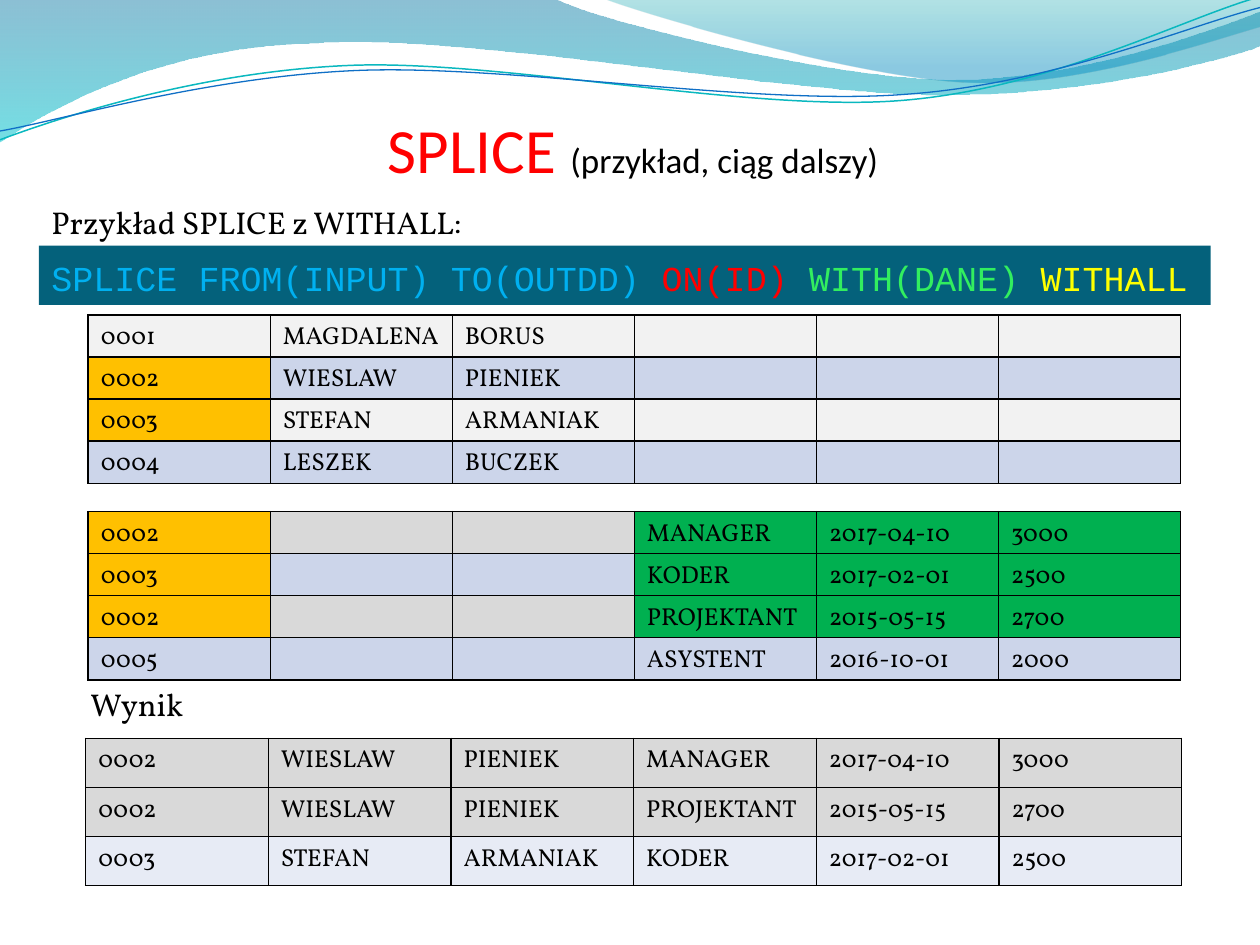
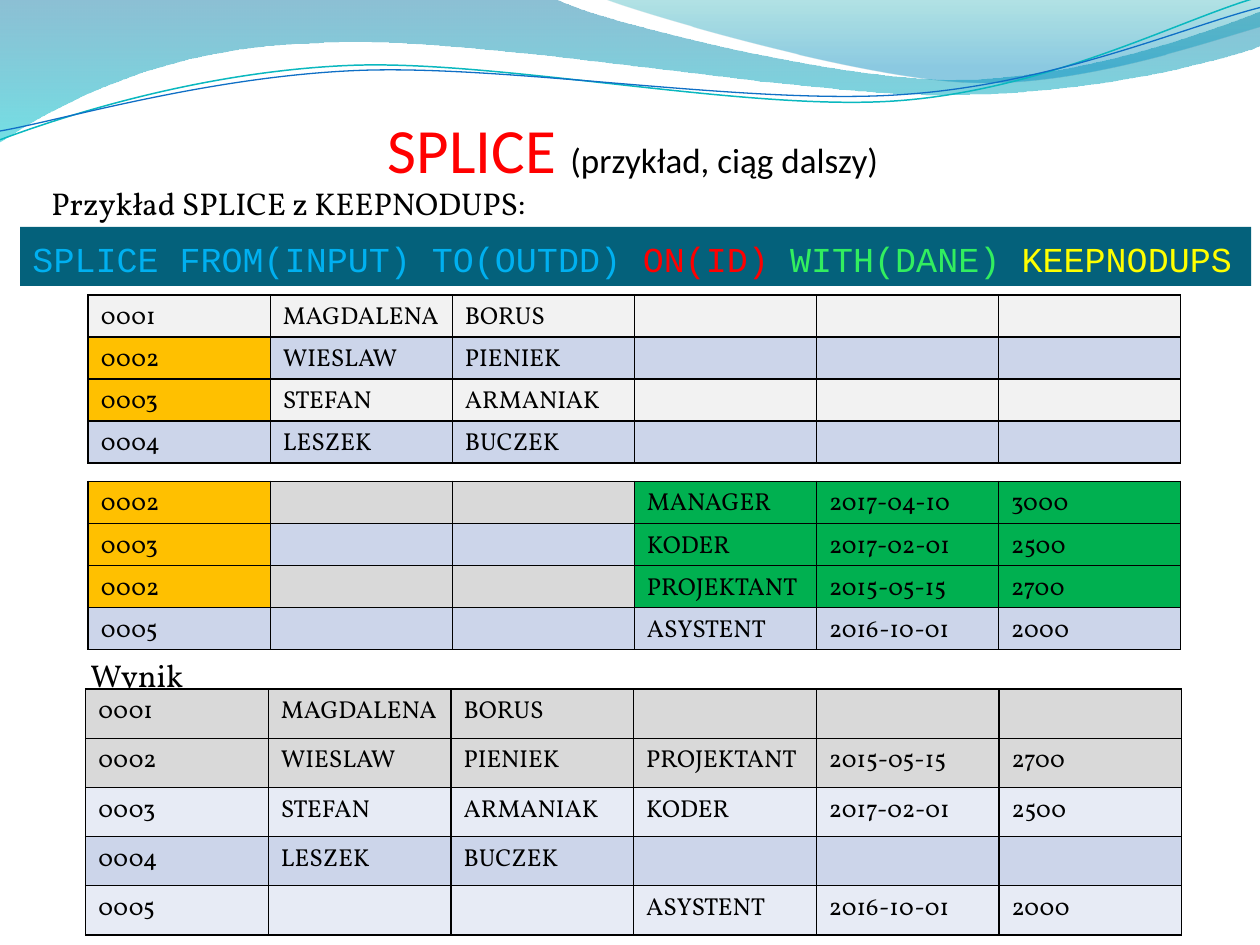
import lxml.etree
import pptx
import pptx.dml.color
import pptx.enum.shapes
import pptx.enum.text
import pptx.oxml.ns
import pptx.util

Inches = pptx.util.Inches
Pt = pptx.util.Pt
qn = pptx.oxml.ns.qn
ALIGN = pptx.enum.text.PP_ALIGN
ANCHOR = pptx.enum.text.MSO_ANCHOR
AUTO = pptx.enum.text.MSO_AUTO_SIZE

BLACK, RED, ORANGE, GREEN = "000000", "FF0000", "FFC000", "00B050"
LIGHT, BLUE, GREY, PALE = "F2F2F2", "CCD5EA", "D9D9D9", "E7EBF5"
BAND, CYAN, LIME, YELLOW = "04617B", "00B0F0", "32EE5F", "FFFF00"
SERIF, SANS, MONO = "Vollkorn", "Calibri", "Courier New"

BLANK = ("", "", "")
PEOPLE = [
    ("0001", "MAGDALENA", "BORUS"),
    ("0002", "WIESLAW", "PIENIEK"),
    ("0003", "STEFAN", "ARMANIAK"),
    ("0004", "LESZEK", "BUCZEK"),
]
JOBS = [
    ("0002", "MANAGER", "2017-04-10", "3000"),
    ("0003", "KODER", "2017-02-01", "2500"),
    ("0002", "PROJEKTANT", "2015-05-15", "2700"),
    ("0005", "ASYSTENT", "2016-10-01", "2000"),
]
MAGDALENA, WIESLAW, STEFAN, LESZEK = PEOPLE
MANAGER, KODER, PROJEKTANT, ASYSTENT = (job[1:] for job in JOBS)
MATCHED = {person[0] for person in PEOPLE} & {job[0] for job in JOBS}

WAVES = [
    ([(0, 0), (4.4, -0.01), (4.76, 0.17, 6.64, 0.63, 7.58, 0.63),
      (8.53, 0.63, 9.58, 0.26, 10, 0.09), (10.01, 0.36),
      (9.83, 0.44, 8.7, 0.76, 7.46, 0.75), (6.22, 0.75, 3.82, 0.28, 2.57, 0.34),
      (1.29, 0.36, 0.46, 0.83, -0.01, 1.13), (0, 0)],
     [(0, "0074A1", 45), (1, "00C6CF", 55)]),
    ([(4.79, -0.01), (5.09, 0.11, 6.82, 0.62, 7.69, 0.65),
      (8.56, 0.69, 9.61, 0.32, 10, 0.21), (10, 0), (4.79, -0.01)],
     [(0, "00A1A9", 30), (0.8, "008BBF", 45)]),
]
RIPPLES = [
    ([(0, 1.11), (0.48, 0.93, 1.58, 0.57, 2.77, 0.52),
      (3.95, 0.47, 5.93, 0.89, 7.13, 0.8), (8.33, 0.71, 9.38, 0.15, 9.98, -0.02)],
     "0AB8BF", 0.85),
    ([(0, 1.04), (0.47, 0.96, 1.64, 0.61, 2.83, 0.56),
      (4.03, 0.51, 5.97, 0.84, 7.17, 0.75), (8.36, 0.67, 9.41, 0.21, 10, 0.06)],
     "0F6FC6", 0.75),
]


def rgb(code):
    """Turn a hex string into a colour."""
    return pptx.dml.color.RGBColor.from_string(code)


def add_run(p, text, size, font, color):
    """Append one formatted run to a paragraph."""
    r = p.add_run()
    r.text = text
    r.font.size = Pt(size)
    r.font.name = font
    r.font.bold = False
    r.font.color.rgb = rgb(color)


def place(sp, box):
    """Move a shape to a box of left, top, width and height in inches."""
    sp.left, sp.top, sp.width, sp.height = (Inches(v) for v in box)


def bend(sp, node, segment):
    """Turn a straight segment of a freeform into a cubic curve."""
    curve = lxml.etree.Element(qn("a:cubicBezTo"))
    for x, y in zip(segment[::2], segment[1::2]):
        lxml.etree.SubElement(curve, qn("a:pt"), x=str(Inches(x) - sp.left),
                              y=str(Inches(y) - sp.top))
    node.getparent().replace(node, curve)


def add_outline(slide, segments, closed):
    """Build a freeform from lines (2 numbers) and curves (6 numbers)."""
    ends = [(Inches(s[-2]), Inches(s[-1])) for s in segments]
    builder = slide.shapes.build_freeform(*ends[0], scale=1.0)
    builder.add_line_segments(ends[1:], close=closed)
    sp = builder.convert_to_shape()
    sp.shadow.inherit = False
    for node, segment in zip(sp.element.xpath(".//a:lnTo"), segments[1:]):
        if len(segment) == 6:
            bend(sp, node, segment)
    return sp


def add_wave(slide, segments, stops):
    """Draw a translucent wave that shades from top to bottom."""
    sp = add_outline(slide, segments, True)
    sp.line.fill.background()
    sp.fill.gradient()
    sp.fill.gradient_angle = 270
    for stop, (position, color, _) in zip(sp.fill.gradient_stops, stops):
        stop.position = position
        stop.color.rgb = rgb(color)
    for node, (_, _, opacity) in zip(sp.element.xpath(".//a:gs/a:srgbClr"), stops):
        lxml.etree.SubElement(node, qn("a:alpha"), val=str(opacity * 1000))
    return sp


def add_ripple(slide, segments, color, width):
    """Draw a thin curved line."""
    sp = add_outline(slide, segments, False)
    sp.fill.background()
    sp.line.color.rgb = rgb(color)
    sp.line.width = Pt(width)
    return sp


def decorate_master(prs, slide):
    """Draw the waves and ripples and hand them to the slide master."""
    shapes = [add_wave(slide, *wave) for wave in WAVES]
    shapes += [add_ripple(slide, *ripple) for ripple in RIPPLES]
    for i, sp in enumerate(shapes):
        prs.slide_master.shapes.element.insert(2 + i, sp.element)


def set_title(slide, box):
    """Fill and format the title placeholder."""
    sp = slide.shapes.title
    place(sp, box)
    tf = sp.text_frame
    tf.auto_size = AUTO.NONE
    tf.vertical_anchor = ANCHOR.BOTTOM
    tf.margin_left = tf.margin_right = tf.margin_bottom = 0
    tf.margin_top = Inches(0.05)
    p = tf.paragraphs[0]
    p.alignment = ALIGN.CENTER
    add_run(p, "SPLICE ", 36, SANS, RED)
    add_run(p, "(przykład, ciąg dalszy)", 20, SANS, BLACK)


def add_label(slide, box, text, wrap=True, before=0):
    """Add a line of serif text."""
    tf = slide.shapes.add_textbox(*(Inches(v) for v in box)).text_frame
    tf.word_wrap = wrap
    tf.auto_size = AUTO.SHAPE_TO_FIT_TEXT
    p = tf.paragraphs[0]
    p.space_before = Pt(before)
    add_run(p, text, 18, SERIF, BLACK)


def add_command(slide, box, option):
    """Add the band that holds the coloured command."""
    rect = pptx.enum.shapes.MSO_SHAPE.RECTANGLE
    sp = slide.shapes.add_shape(rect, *(Inches(v) for v in box))
    sp.shadow.inherit = False
    sp.fill.solid()
    sp.fill.fore_color.rgb = rgb(BAND)
    sp.line.fill.background()
    tf = sp.text_frame
    tf.word_wrap = True
    tf.auto_size = AUTO.SHAPE_TO_FIT_TEXT
    tf.vertical_anchor = ANCHOR.TOP
    p = tf.paragraphs[0]
    p.alignment = ALIGN.JUSTIFY
    p.line_spacing = 1.1
    p.space_before = Pt(4)
    for text, color in (("SPLICE FROM(INPUT) TO(OUTDD) ", CYAN), ("ON(ID) ", RED),
                        ("WITH(DANE) ", LIME), (option, YELLOW)):
        add_run(p, text, 20, MONO, color)


def fill_cell(cell, text, color):
    """Write, fill and border one table cell."""
    p = cell.text_frame.paragraphs[0]
    if text:
        add_run(p, text, 14, SERIF, BLACK)
    else:
        end = lxml.etree.SubElement(p._p, qn("a:endParaRPr"), sz="1400")
        lxml.etree.SubElement(end, qn("a:latin"), typeface=SERIF)
    tc_pr = cell._tc.get_or_add_tcPr()
    for side in ("a:lnL", "a:lnR", "a:lnT", "a:lnB"):
        ln = lxml.etree.SubElement(tc_pr, qn(side), w=str(Pt(1)))
        solid = lxml.etree.SubElement(ln, qn("a:solidFill"))
        lxml.etree.SubElement(solid, qn("a:srgbClr"), val=BLACK)
    cell.fill.solid()
    cell.fill.fore_color.rgb = rgb(color)


def add_grid(slide, box, rows, fills, marks=None):
    """Add a table; marks recolour the columns of matched rows."""
    marks = marks or {}
    left, top, width, height = (Inches(v) for v in box)
    frame = slide.shapes.add_table(len(rows), len(rows[0]), left, top, width, height)
    table = frame.table
    table.first_row = table.horz_banding = False
    for i, (row, color) in enumerate(zip(rows, fills)):
        for j, text in enumerate(row):
            mark = marks.get(j, color) if row[0] in MATCHED else color
            fill_cell(table.cell(i, j), text, mark)


def build_slide(slide, option, tops, band, results, fills):
    """Fill one example slide: command, two inputs and the result."""
    label_top, band_top, people_top, jobs_top, result_label_top, result_top = tops
    set_title(slide, (0.47, 0.77, 9.11, 0.71))
    add_label(slide, (0.31, label_top, 4.06, 0.4),
              f"Przykład SPLICE z {option}:", before=3.6)
    left, width = band
    add_command(slide, (left, band_top, width, 0.47), option)
    add_grid(slide, (0.7, people_top, 8.67, 1.33), [row + BLANK for row in PEOPLE],
             [LIGHT, BLUE, LIGHT, BLUE], {0: ORANGE})
    add_grid(slide, (0.7, jobs_top, 8.67, 1.33),
             [(key, "", "", *job) for key, *job in JOBS], [GREY, BLUE, GREY, BLUE],
             {0: ORANGE, 3: GREEN, 4: GREEN, 5: GREEN})
    add_label(slide, (0.62, result_label_top, 0.96, 0.4), "Wynik:", wrap=False)
    add_grid(slide, (0.68, result_top, 8.7, 0.39 * len(results)), results, fills)


def main():
    """Build both slides and save the presentation."""
    prs = pptx.Presentation()
    prs.slide_width, prs.slide_height = Inches(10), Inches(7.5)
    withall, keepnodups = (prs.slides.add_slide(prs.slide_layouts[5]) for _ in range(2))
    decorate_master(prs, withall)
    build_slide(withall, "WITHALL", (1.56, 1.95, 2.5, 4.06, 5.39, 5.86), (0.31, 9.3),
                [WIESLAW + MANAGER, WIESLAW + PROJEKTANT, STEFAN + KODER],
                [GREY, GREY, PALE])
    build_slide(keepnodups, "KEEPNODUPS", (1.41, 1.8, 2.34, 3.82, 5.16, 5.47), (0.16, 9.77),
                [MAGDALENA + BLANK, WIESLAW + PROJEKTANT, STEFAN + KODER,
                 LESZEK + BLANK, ("0005", "", "") + ASYSTENT],
                [GREY, GREY, PALE, BLUE, PALE])
    prs.save("out.pptx")


if __name__ == "__main__":
    main()
